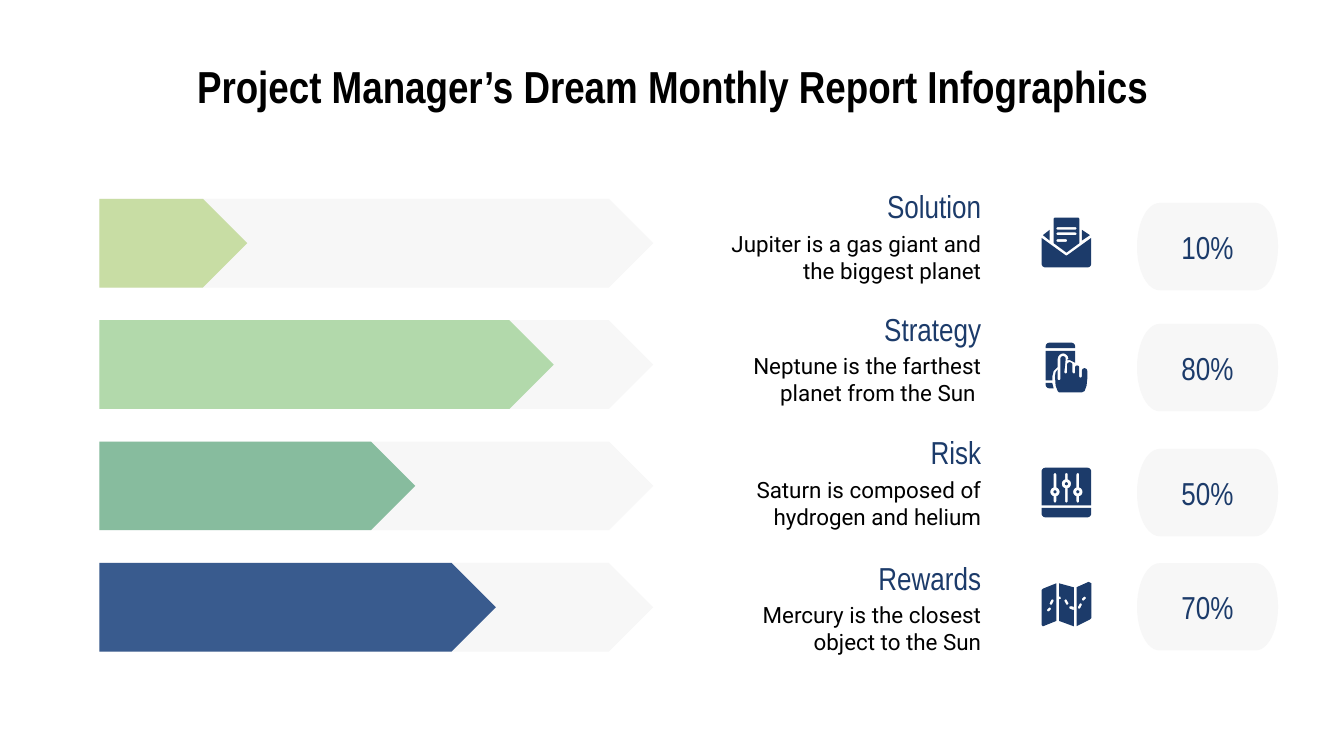
import math
import typing

import pptx
import pptx.dml.color
import pptx.enum.shapes
import pptx.enum.text
import pptx.util

COLORS = {"navy": "1C3B6A", "track": "F7F7F7", "black": "000000", "lime": "C8DDA4",
          "green": "B2D9AB", "teal": "87BC9E", "blue": "395B8E"}
HEADING_FONT, BODY_FONT = "Arial Narrow", "Roboto"
UNIT = pptx.util.Inches(0.1)  # grid: 100 columns by 56.2 rows
ALIGN = pptx.enum.text.PP_ALIGN
ANCHOR = pptx.enum.text.MSO_ANCHOR
SHAPES = pptx.enum.shapes.MSO_SHAPE


class Box(typing.NamedTuple):
    left: float
    top: float
    width: float
    height: float

    def emu(self):
        return [round(length * UNIT) for length in self]


def rgb(name):
    return pptx.dml.color.RGBColor.from_string(COLORS[name])


def paint(shape, color):
    shape.shadow.inherit = False
    shape.fill.solid()
    shape.fill.fore_color.rgb = rgb(color)
    shape.line.fill.background()


def add_preset(slide, kind, box, color):
    shape = slide.shapes.add_shape(kind, *box.emu())
    paint(shape, color)
    return shape


def write(shape, text, size, color, align, font=HEADING_FONT, bold=False, anchor=ANCHOR.MIDDLE):
    frame = shape.text_frame
    frame.word_wrap = True
    frame.vertical_anchor = anchor
    frame.margin_left = frame.margin_right = frame.margin_top = frame.margin_bottom = UNIT
    paragraph = frame.paragraphs[0]
    paragraph.alignment = align
    run = paragraph.add_run()
    run.text = text
    run.font.name, run.font.size, run.font.bold = font, pptx.util.Pt(size), bold
    run.font.color.rgb = rgb(color)


# Icon outlines, on a grid of 37 by 37
def arc(x, y, radius, start, end, steps=8):
    angles = [math.radians(start + (end - start) * i / steps) for i in range(steps + 1)]
    return [(x + radius * math.cos(a), y + radius * math.sin(a)) for a in angles]


def capsule(x1, y1, x2, y2, radius=1):
    turn = math.degrees(math.atan2(y2 - y1, x2 - x1))
    return arc(x2, y2, radius, turn - 90, turn + 90) + arc(x1, y1, radius, turn + 90, turn + 270)


def slider(x, knob):
    return (arc(x, 5, 1, 180, 360) + arc(x, knob, 3.5, -73, 73)
            + arc(x, 25, 1, 0, 180) + arc(x, knob, 3.5, 107, 253))


def rounded_top(left, top, right, bottom, radius=3):
    return ([(left, bottom)] + arc(left + radius, top + radius, radius, 180, 270)
            + arc(right - radius, top + radius, radius, 270, 360) + [(right, bottom)])


def rounded_bottom(left, top, right, bottom, radius=3):
    return ([(left, top), (right, top)] + arc(right - radius, bottom - radius, radius, 0, 90)
            + arc(left + radius, bottom - radius, radius, 90, 180))


KNOBS = [(10, 18), (18.5, 12), (27, 18)]
FINGERS = (arc(16, 12, 2, 180, 360) + arc(18, 22, 1, 180, 0) + arc(21, 16.5, 2, 180, 360)
           + arc(24, 22, 1, 180, 0) + arc(26.5, 18.5, 1.5, 180, 360)
           + arc(29, 25, 1, 180, 0) + arc(32, 21, 2, 180, 360))

# Each icon is a list of parts; a part is an outline followed by its inner outlines
ENVELOPE = [
    [[(0, 15), (18, 28), (19, 28), (37, 15)] + arc(34, 34, 3, 0, 90) + arc(3, 34, 3, 90, 180)],
    [[(30, 9), (30, 17), (36, 13)]],
    [[(6, 9), (1, 13), (6, 17)]],
    [rounded_top(9, 0, 28, 19, 1) + [(18.5, 26)],
     capsule(12, 8, 25, 8), capsule(12, 12, 25, 12), capsule(12, 17, 18, 17)],
]
PHONE = [
    [rounded_top(3, 0, 25, 4)],
    [[(3, 6), (25, 6), (25, 15), (21, 13), (19, 13)] + arc(16, 12, 4, 0, -180)
     + [(12, 18), (9, 21), (8, 25), (8, 28), (3, 28)]],
    [[(3, 30), (8, 30), (9, 34)] + arc(6, 31, 3, 90, 180)],
    [FINGERS + [(34, 27), (33.5, 32), (32, 36), (30, 37), (13, 37), (12, 36), (10.5, 32),
                (10, 25), (10.5, 22), (12, 20)] + arc(13, 27, 1, 180, 0)],
]
MIXER = [
    [rounded_top(0, 0, 37, 28)] + [slider(x, y) for x, y in KNOBS]
    + [arc(x, y, 1.2, 0, 360) for x, y in KNOBS],
    [rounded_bottom(0, 30, 37, 37)],
]
MAP = [
    [[(11, 1), (1, 5), (0, 6), (0, 32), (1, 33), (11, 29)],
     capsule(8, 14, 7, 16), capsule(6, 20, 5, 21)],
    [[(13, 1), (24, 4), (24, 21), (21, 20), (20.5, 18.5), (22, 18), (24, 18.5), (24, 33),
      (13, 29), (13, 13), (14.5, 12.5), (14, 11), (13, 11)],
     capsule(18, 14, 19, 16)],
    [[(26, 4), (35, 0), (37, 1), (37, 27), (36, 28), (26, 33)],
     capsule(32, 12, 31, 13), capsule(29, 17, 28, 19)],
]


def draw_icon(slide, parts, box):
    fine = 10  # steps per grid unit
    scale = box.width * UNIT / 37 / fine
    left, top = box.emu()[:2]
    for outlines in parts:
        builder = None
        for outline in outlines:
            points = [(x * fine, y * fine) for x, y in outline]
            if builder is None:
                builder = slide.shapes.build_freeform(*points[0], scale=scale)
            else:
                builder.move_to(*points[0])
            builder.add_line_segments(points[1:], close=True)
        paint(builder.convert_to_shape(left, top), "navy")


def draw_title(slide, box, text):
    shape = slide.shapes.add_textbox(*box.emu())
    write(shape, text, 24, "black", ALIGN.CENTER, bold=True, anchor=ANCHOR.TOP)


def draw_arrow(slide, box, color, length):
    add_preset(slide, SHAPES.PENTAGON, box, "track")
    add_preset(slide, SHAPES.PENTAGON, box._replace(width=length), color)


def draw_description(slide, box, heading, body):
    heading_box = Box(box.left + 1.4, box.top, box.width - 1.4, 3.7)
    body_box = Box(box.left, box.top + 2.7, box.width, 5.8)
    write(slide.shapes.add_textbox(*body_box.emu()), body, 12, "black", ALIGN.RIGHT, BODY_FONT)
    write(slide.shapes.add_textbox(*heading_box.emu()), heading, 17, "navy", ALIGN.RIGHT)


def draw_badge(slide, box, text):
    shape = add_preset(slide, SHAPES.FLOWCHART_TERMINATOR, box, "track")
    write(shape, text, 17, "navy", ALIGN.CENTER)


# Heading, body, percentage, color, arrow length, icon, then tops of text, icon and badge
ROWS = [
    ("Solution", "Jupiter is a gas giant and the biggest planet", "10%",
     "lime", 11, ENVELOPE, 13.5, 16.2, 15.1),
    ("Strategy", "Neptune is the farthest planet from the Sun ", "80%",
     "green", 33.8, PHONE, 22.6, 25.5, 24.1),
    ("Risk", "Saturn is composed of hydrogen and helium", "50%",
     "teal", 23.5, MIXER, 31.8, 34.8, 33.4),
    ("Rewards", "Mercury is the closest object to the Sun", "70%",
     "blue", 29.5, MAP, 41.15, 43.3, 41.9),
]


def main():
    presentation = pptx.Presentation()
    presentation.slide_width = 100 * UNIT
    presentation.slide_height = round(56.25 * UNIT)
    slide = presentation.slides.add_slide(presentation.slide_layouts[6])
    draw_title(slide, Box(2, 3.4, 96.1, 6.3),
               "Project Manager’s Dream Monthly Report Infographics")
    for index, row in enumerate(ROWS):
        heading, body, percentage, color, length, icon, text_top, icon_top, badge_top = row
        draw_arrow(slide, Box(7.4, 14.8 + 9.03 * index, 41.2, 6.6), color, length)
        draw_description(slide, Box(52.2, text_top, 21.8, 8.5), heading, body)
        draw_icon(slide, icon, Box(77.5, icon_top, 3.7, 3.7))
        draw_badge(slide, Box(84.6, badge_top, 10.5, 6.5), percentage)
    presentation.save("out.pptx")


if __name__ == "__main__":
    main()
